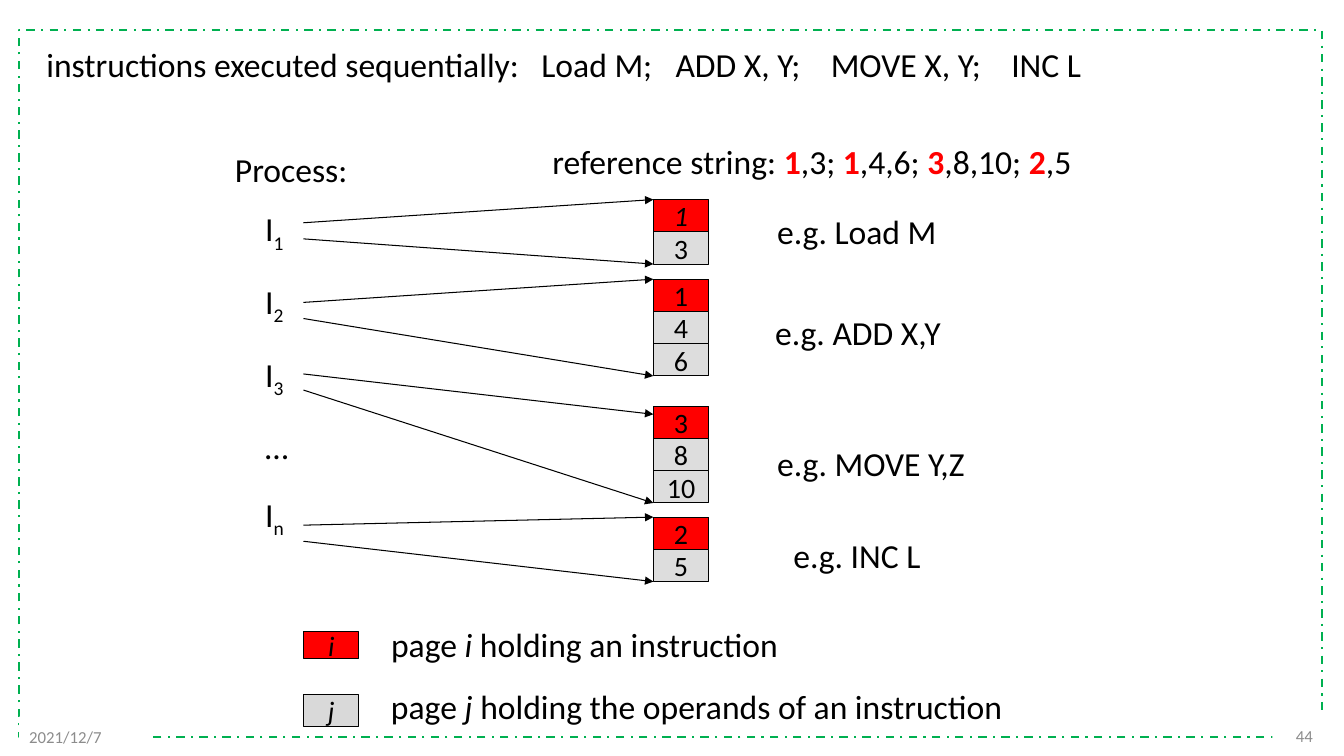
"""Build a slide that traces instructions to their page reference string."""
from dataclasses import dataclass

from lxml import etree
from pptx import Presentation
from pptx.dml.color import RGBColor
from pptx.enum.dml import MSO_LINE
from pptx.enum.shapes import MSO_CONNECTOR, MSO_SHAPE
from pptx.enum.text import MSO_ANCHOR, MSO_AUTO_SIZE, PP_ALIGN
from pptx.oxml.ns import qn
from pptx.util import Inches, Pt


@dataclass(frozen=True)
class Theme:
    font: str = "Calibri"
    ink: str = "000000"
    accent: str = "FF0000"
    operand: str = "DDDDDD"
    legend_operand: str = "D9D9D9"
    border: str = "00B050"
    footer: str = "8C8C8C"
    paper: str = "FFFFFF"
    text_size: int = 24
    page_size: int = 20
    footer_size: int = 12
    thin: float = 0.75
    border_width: float = 1.5


def rgb(code):
    return RGBColor.from_string(code)


class SlideBuilder:
    def __init__(self, slide, theme):
        self.slide, self.theme = slide, theme

    def place(self, shape, box):
        shape.left, shape.top, shape.width, shape.height = map(Inches, box)

    def fill_text(self, paragraph, pieces, size=None, color=None, italic=False):
        theme = self.theme
        paragraph.font.name = theme.font
        paragraph.font.size = Pt(size or theme.text_size)
        paragraph.font.color.rgb = rgb(color or theme.ink)
        paragraph.font.bold = False
        paragraph.font.italic = italic
        for text, style in pieces:
            run = paragraph.add_run()
            run.text = text
            if style == "accent":
                run.font.bold = True
                run.font.color.rgb = rgb(theme.accent)
            elif style == "italic":
                run.font.italic = True
            elif style == "subscript":
                run._r.get_or_add_rPr().set("baseline", "-25000")

    def frame(self, shape, anchor=MSO_ANCHOR.TOP):
        frame = shape.text_frame
        frame.word_wrap = True
        frame.auto_size = MSO_AUTO_SIZE.NONE
        frame.vertical_anchor = anchor
        return frame

    def border(self, box):
        edge = self.slide.shapes.add_shape(MSO_SHAPE.RECTANGLE, *map(Inches, box))
        edge.shadow.inherit = False
        edge.fill.background()
        edge.line.color.rgb = rgb(self.theme.border)
        edge.line.width = Pt(self.theme.border_width)
        edge.line.dash_style = MSO_LINE.DASH_DOT

    def title(self, box, columns, tab_stops):
        title = self.slide.shapes.title
        self.place(title, box)
        paragraph = self.frame(title).paragraphs[0]
        paragraph.alignment = PP_ALIGN.LEFT
        tabs = etree.SubElement(paragraph._p.get_or_add_pPr(), qn("a:tabLst"))
        for stop in tab_stops:
            etree.SubElement(tabs, qn("a:tab"), pos=str(Inches(stop)), algn="l")
        self.fill_text(paragraph, [("\t".join(columns), None)])

    def process_list(self, box, heading, items, indent):
        body = self.slide.placeholders[1]
        self.place(body, box)
        frame = self.frame(body)
        for index, pieces in enumerate([heading, *items]):
            paragraph = frame.add_paragraph() if index else frame.paragraphs[0]
            paragraph.space_before = Pt(13.2 if index else 0)
            paragraph.space_after = Pt(6 if index else 0)
            properties = paragraph._p.get_or_add_pPr()
            properties.set("marL", str(Inches(indent if index else 0)))
            properties.set("indent", "0")
            etree.SubElement(properties, qn("a:buNone"))
            self.fill_text(paragraph, pieces)

    def label(self, box, pieces):
        label = self.slide.shapes.add_textbox(*map(Inches, box))
        self.fill_text(self.frame(label).paragraphs[0], pieces)

    def footer(self, box, text, alignment):
        footer = self.slide.shapes.add_textbox(*map(Inches, box))
        footer.fill.solid()
        footer.fill.fore_color.rgb = rgb(self.theme.paper)
        paragraph = self.frame(footer, MSO_ANCHOR.MIDDLE).paragraphs[0]
        paragraph.alignment = alignment
        self.fill_text(paragraph, [(text, None)], self.theme.footer_size, self.theme.footer)

    def page(self, box, number, fill, italic=False):
        page = self.slide.shapes.add_shape(MSO_SHAPE.RECTANGLE, *map(Inches, box))
        page.shadow.inherit = False
        page.fill.solid()
        page.fill.fore_color.rgb = rgb(fill)
        page.line.color.rgb = rgb(self.theme.ink)
        page.line.width = Pt(self.theme.thin)
        frame = self.frame(page, MSO_ANCHOR.MIDDLE)
        frame.margin_left = frame.margin_right = 0
        frame.paragraphs[0].alignment = PP_ALIGN.CENTER
        self.fill_text(frame.paragraphs[0], [(number, None)], self.theme.page_size, italic=italic)

    def arrow(self, start, end):
        arrow = self.slide.shapes.add_connector(
            MSO_CONNECTOR.STRAIGHT, *map(Inches, (*start, *end)))
        arrow.line.color.rgb = rgb(self.theme.ink)
        arrow.line.width = Pt(self.theme.thin)
        etree.SubElement(arrow.line._get_or_add_ln(), qn("a:tailEnd"), type="triangle")
        etree.SubElement(arrow._element.spPr, qn("a:effectLst"))


def main():
    deck = Presentation()
    deck.slide_width, deck.slide_height = Inches(13.33), Inches(7.5)
    theme = Theme()
    builder = SlideBuilder(deck.slides.add_slide(deck.slide_layouts[1]), theme)

    builder.border((0.19, 0.3, 12.92, 7.01))
    builder.footer((12.62, 7.1, 0.5, 0.4), "44", PP_ALIGN.RIGHT)
    builder.footer((0.19, 7.11, 1.32, 0.4), "2021/12/7", PP_ALIGN.LEFT)
    builder.title(
        (0.36, 0.39, 11.84, 0.5),
        ["instructions executed sequentially:", "Load M;", "ADD X, Y;", "MOVE X, Y;", "INC L"],
        [4.91, 6.24, 7.78, 9.57])

    instructions = [[("I", None), (index, "subscript")] for index in "123n"]
    instructions.insert(3, [("…", None)])
    builder.process_list((2.23, 1.43, 1.33, 4.04), [("Process:", None)], instructions, 0.3)
    builder.label((5.38, 1.35, 5.51, 0.5), [
        ("reference string: ", None), ("1", "accent"), (",3; ", None),
        ("1", "accent"), (",4,6; ", None), ("3", "accent"), (",8,10; ", None),
        ("2", "accent"), (",5", None)])

    page_left, page_width, page_height = 6.48, 0.55, 0.32
    arrow_left, arrow_gap = 3.01, 0.16
    references = [
        (1.98, ["1", "3"], 2.21, 1.98, "e.g. Load M", (7.61, 2.04, 1.85, 0.5)),
        (2.77, ["1", "4", "6"], 3.0, 2.77, "e.g. ADD X,Y", (7.59, 3.05, 1.86, 0.5)),
        (4.03, ["3", "8", "10"], 3.71, 4.11, "e.g. MOVE Y,Z", (7.61, 4.34, 2.08, 0.5)),
        (5.13, ["2", "5"], 5.21, 5.13, "e.g. INC L", (7.77, 5.26, 1.55, 0.5)),
    ]
    for order, (top, pages, arrow_top, arrow_end, example, box) in enumerate(references):
        for row, number in enumerate(pages):
            builder.page(
                (page_left, top + row * page_height, page_width, page_height), number,
                theme.operand if row else theme.accent, italic=order == row == 0)
        bottom = top + len(pages) * page_height
        builder.arrow((arrow_left, arrow_top), (page_left, arrow_end))
        builder.arrow((arrow_left, arrow_top + arrow_gap), (page_left, bottom))
        builder.label(box, [(example, None)])

    legend = [
        ("i", " holding an instruction", theme.accent, 6.27, 0.26, 6.14, 4.15),
        ("j", " holding the operands of an instruction", theme.legend_operand,
         6.89, 0.32, 6.76, 6.4),
    ]
    for symbol, meaning, fill, top, height, text_top, width in legend:
        builder.page((arrow_left, top, page_width, height), symbol, fill, italic=True)
        builder.label((3.78, text_top, width, 0.5),
                      [("page ", None), (symbol, "italic"), (meaning, None)])

    deck.save("out.pptx")


if __name__ == "__main__":
    main()
